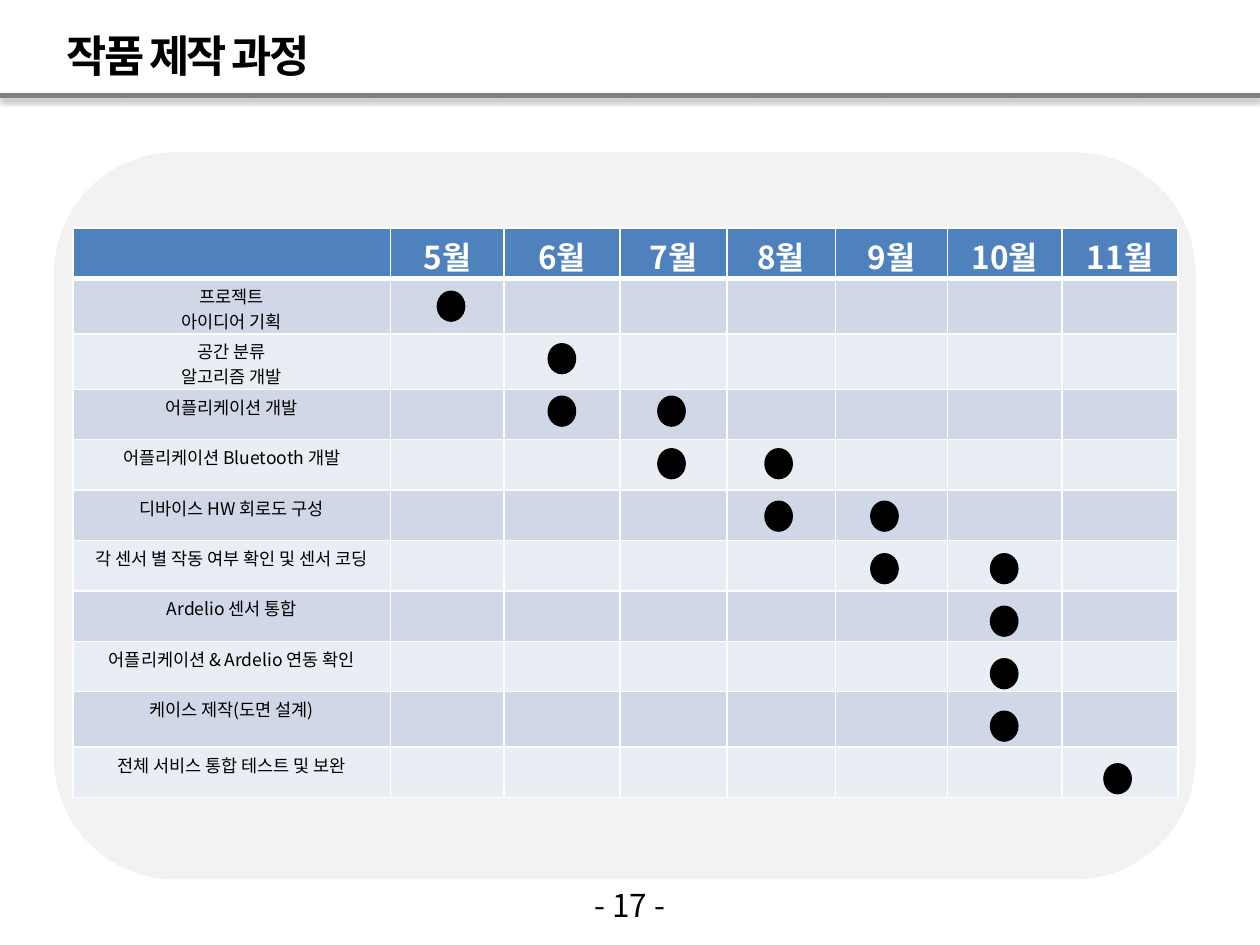
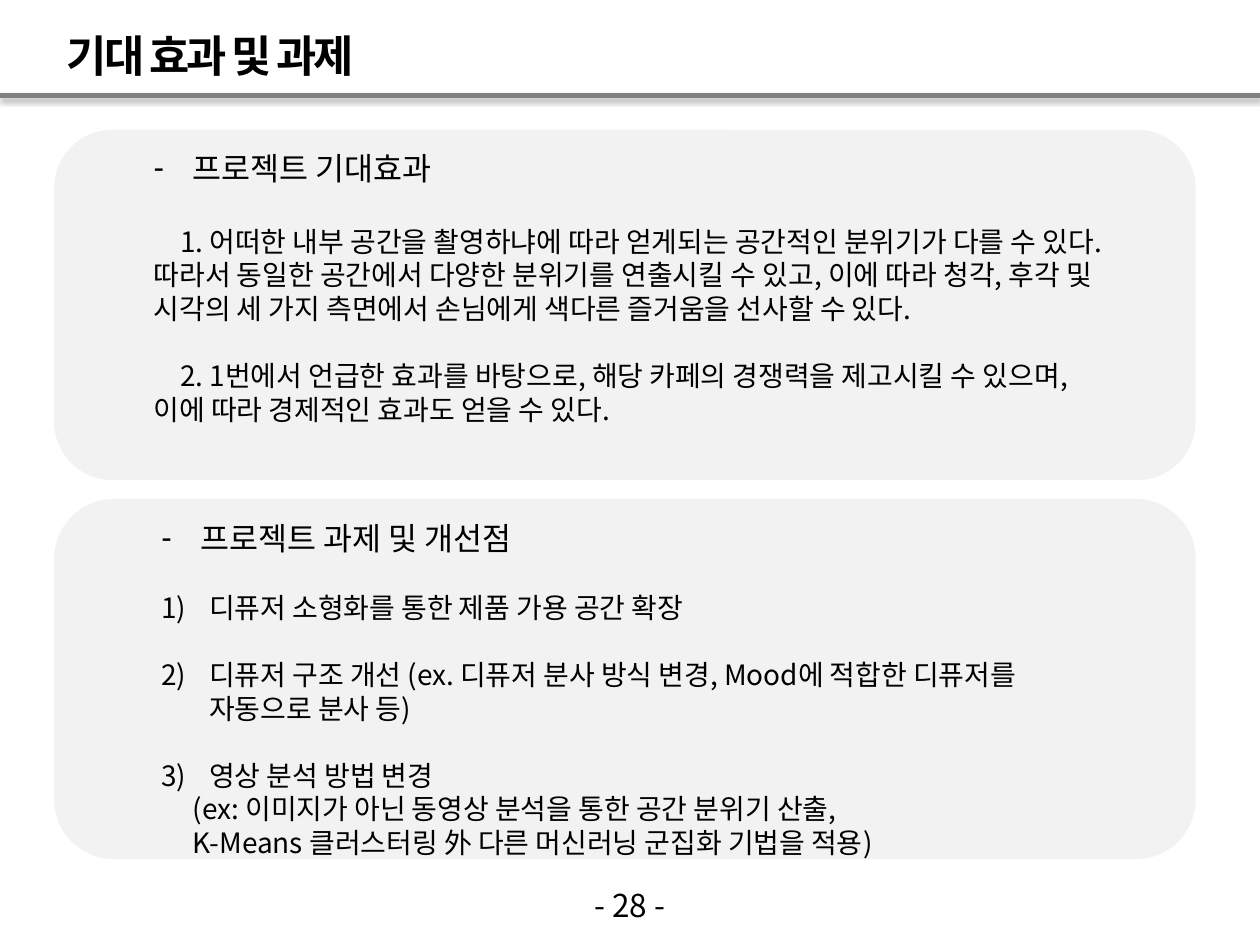
"""Build the two project slides: work schedule, and effects with open tasks."""
from lxml import etree
from pptx import Presentation
from pptx.dml.color import RGBColor
from pptx.enum.shapes import MSO_CONNECTOR, MSO_SHAPE
from pptx.enum.text import MSO_ANCHOR, MSO_AUTO_SIZE, PP_ALIGN
from pptx.oxml import parse_xml
from pptx.oxml.ns import nsdecls, qn
from pptx.util import Inches, Pt

ROUND, OVAL = MSO_SHAPE.ROUNDED_RECTANGLE, MSO_SHAPE.OVAL
LEFT, MID = PP_ALIGN.LEFT, PP_ALIGN.CENTER
FONT = "Noto Sans CJK KR"
BLACK, WHITE, GREY, PANEL = "000000", "FFFFFF", "808080", "F2F2F2"
HEAD, BANDS = "4F81BD", ("D0D8E8", "E9EDF4")
TITLE_ONLY, TWO_BODY = 5, 3
LEAD, CELL_LEAD = 1.2, 1.43

MONTHS = ["5월", "6월", "7월", "8월", "9월", "10월", "11월"]
COLS = [2.52, 0.9, 0.92, 0.85, 0.86, 0.89, 0.91, 0.92]
DOT_X = [3.48, 4.36, 5.23, 6.08, 6.92, 7.87, 8.77]
DOT_TOP, DOT_END = 2.32, 6.07
ROW, TALL = 0.4, 0.44
TALL_ROWS = (1, 2, 9)
TASKS = [
    (["프로젝트", "아이디어 기획"], [5]),
    (["공간 분류", "알고리즘 개발"], [6]),
    (["어플리케이션 개발"], [6, 7]),
    (["어플리케이션 Bluetooth 개발"], [7, 8]),
    (["디바이스 HW 회로도 구성"], [8, 9]),
    (["각 센서 별 작동 여부 확인 및 센서 코딩"], [9, 10]),
    (["Ardelio 센서 통합"], [10]),
    (["어플리케이션 & Ardelio 연동 확인"], [10]),
    (["케이스 제작(도면 설계)"], [10]),
    (["전체 서비스 통합 테스트 및 보완"], [11]),
]

# Each item: text, size, space before, left margin, first-line indent, bullet
EFFECTS = [
    ("프로젝트 기대효과", 18, 0, 0.31, -0.31, "-"),
    ("1. 어떠한 내부 공간을 촬영하냐에 따라 얻게되는 공간적인 분위기가 다를 수 있다. "
     "따라서 동일한 공간에서 다양한 분위기를 연출시킬 수 있고, 이에 따라 청각, "
     "후각 및 시각의 세 가지 측면에서 손님에게 색다른 즐거움을 선사할 수 있다.",
     16, 21.6, 0, 0.21, None),
    ("2. 1번에서 언급한 효과를 바탕으로, 해당 카페의 경쟁력을 제고시킬 수 있으며, "
     "이에 따라 경제적인 효과도 얻을 수 있다.", 16, 19.2, 0, 0.21, None),
]
ISSUES = [
    ("프로젝트 과제 및 개선점", 18, 0, 0.31, -0.31, "-"),
    ("디퓨저 소형화를 통한 제품 가용 공간 확장", 16, 19.2, 0.38, -0.38, "1)"),
    ("디퓨저 구조 개선 (ex. 디퓨저 분사 방식 변경, Mood에 적합한 디퓨저를 "
     "자동으로 분사 등)", 16, 19.2, 0.38, -0.38, "1)"),
    ("영상 분석 방법 변경", 16, 19.2, 0.38, -0.38, "1)"),
    ("(ex: 이미지가 아닌 동영상 분석을 통한 공간 분위기 산출,", 16, 0, 0.25, 0, None),
    ("K-Means 클러스터링 外 다른 머신러닝 군집화 기법을 적용)", 16, 0, 0.25, 0, None),
]


def rgb(code):
    """Turn a hex string into a colour."""
    return RGBColor.from_string(code)


def place(shape, left, top, width, height):
    """Move and size a shape in inches."""
    shape.left, shape.top = Inches(left), Inches(top)
    shape.width, shape.height = Inches(width), Inches(height)


def write(para, text, size, color=BLACK, bold=False, align=LEFT, lead=LEAD):
    """Add one styled run to a paragraph."""
    para.alignment = align
    para.line_spacing = Pt(round(size * lead, 1))
    run = para.add_run()
    run.text = text
    font = run.font
    font.name, font.size, font.bold = FONT, Pt(size), bold
    font.color.rgb = rgb(color)
    props = run._r.get_or_add_rPr()
    etree.SubElement(props, qn("a:ea")).set("typeface", FONT)
    return props


def frame(shape):
    """Give a text frame fixed size, wrapping and top anchor."""
    text = shape.text_frame
    text.word_wrap = True
    text.auto_size = MSO_AUTO_SIZE.NONE
    text.vertical_anchor = MSO_ANCHOR.TOP
    return text


def paras(text, count):
    """Return the given number of paragraphs of a text frame."""
    return [text.paragraphs[0]] + [text.add_paragraph() for _ in range(count - 1)]


def solid(slide, kind, box, color):
    """Add a flat filled shape."""
    shape = slide.shapes.add_shape(kind, *map(Inches, box))
    shape.shadow.inherit = False
    shape.fill.solid()
    shape.fill.fore_color.rgb = rgb(color)
    shape.line.fill.background()
    return shape


def panel(slide, top, height):
    """Add a rounded grey panel behind everything else."""
    shape = solid(slide, ROUND, (0.43, top, 9.06, height), PANEL)
    shape.element.getparent().insert(2, shape.element)


def rule(slide):
    """Draw the shadowed line under the title."""
    line = slide.shapes.add_connector(
        MSO_CONNECTOR.STRAIGHT, 0, Inches(0.76), Inches(10), Inches(0.76))
    line.line.color.rgb = rgb(GREY)
    line.line.width = Pt(3)
    line.element.spPr.append(parse_xml(
        f'<a:effectLst {nsdecls("a")}><a:outerShdw blurRad="{Pt(3.1)}" '
        f'dist="{Pt(1.8)}" dir="5400000" rotWithShape="0">'
        f'<a:srgbClr val="{BLACK}"><a:alpha val="35000"/></a:srgbClr>'
        '</a:outerShdw></a:effectLst>'))


def start(deck, layout, title, page):
    """Add a slide with title, line and page number."""
    slide = deck.slides.add_slide(deck.slide_layouts[layout])
    head = slide.shapes.title
    place(head, 0.43, 0.18, 6, 0.52)
    props = write(frame(head).paragraphs[0], title, 25, bold=True)
    props.set("spc", "-150")
    rule(slide)
    foot = slide.shapes.add_textbox(*map(Inches, (4.41, 6.98, 1.18, 0.4)))
    write(frame(foot).paragraphs[0], f"- {page} -", 18, align=MID)
    return slide


def mark(para, sign):
    """Set the bullet of a paragraph."""
    props = para._p.get_or_add_pPr()
    if sign == "-":
        etree.SubElement(props, qn("a:buChar")).set("char", sign)
    elif sign:
        etree.SubElement(props, qn("a:buAutoNum")).set("type", "arabicParenR")
    else:
        etree.SubElement(props, qn("a:buNone"))


def fill_body(body, box, items):
    """Place a body placeholder and fill it with items."""
    place(body, *box)
    for para, item in zip(paras(frame(body), len(items)), items):
        text, size, gap, left, first, sign = item
        mark(para, sign)
        props = para._p.get_or_add_pPr()
        props.set("marL", str(Inches(left)))
        props.set("indent", str(Inches(first)))
        para.space_before = Pt(gap)
        write(para, text, size)


def edge(cell, top, base):
    """Draw white borders round a cell."""
    props = cell._tc.get_or_add_tcPr()
    for spot, (side, width) in enumerate(zip("LRTB", (1, 1, top, base))):
        props.insert(spot, parse_xml(
            f'<a:ln{side} {nsdecls("a")} w="{Pt(width)}"><a:solidFill>'
            f'<a:srgbClr val="{WHITE}"/></a:solidFill></a:ln{side}>'))


def fill_cell(cell, row, lines, size, color, bold):
    """Format a table cell and write its lines."""
    cell.fill.solid()
    cell.fill.fore_color.rgb = rgb(BANDS[(row - 1) % 2] if row else HEAD)
    edge(cell, 3 if row == 1 else 1, 1 if row else 3)
    cell.margin_top, cell.margin_bottom = Inches(0.04), 0
    for para, line in zip(paras(cell.text_frame, len(lines) or 1), lines):
        write(para, line, size, color, bold, MID, CELL_LEAD)


def plan(slide):
    """Add the schedule table."""
    count = len(TASKS) + 1
    highs = [TALL if row in TALL_ROWS else ROW for row in range(count)]
    box = map(Inches, (0.58, 1.81, sum(COLS), sum(highs)))
    table = slide.shapes.add_table(count, len(COLS), *box).table
    for col, width in zip(table.columns, COLS):
        col.width = Inches(width)
    for row, high in zip(table.rows, highs):
        row.height = Inches(high)
    for col, month in enumerate([None] + MONTHS):
        fill_cell(table.cell(0, col), 0, [month] if month else [], 18, WHITE, True)
    for row, (name, _) in enumerate(TASKS, 1):
        for col in range(len(COLS)):
            lines = [] if col else name
            fill_cell(table.cell(row, col), row, lines, 10, BLACK, False)


def dots(slide):
    """Mark the months of each task."""
    step = (DOT_END - DOT_TOP) / (len(TASKS) - 1)
    for row, (_, months) in enumerate(TASKS):
        for month in months:
            box = (DOT_X[month - 5], DOT_TOP + row * step, 0.2, 0.22)
            dot = solid(slide, OVAL, box, BLACK)
            dot.line.color.rgb = rgb(BLACK)
            dot.line.width = Pt(2)


def main():
    """Build and save the deck."""
    deck = Presentation()
    deck.slide_width, deck.slide_height = Inches(10), Inches(7.5)

    slide = start(deck, TITLE_ONLY, "작품 제작 과정", 17)
    panel(slide, 1.21, 5.77)
    plan(slide)
    dots(slide)

    slide = start(deck, TWO_BODY, "기대 효과 및 과제", 28)
    panel(slide, 1.03, 2.78)
    panel(slide, 3.96, 2.86)
    fill_body(slide.placeholders[1], (1.12, 1.13, 7.76, 2.6), EFFECTS)
    fill_body(slide.placeholders[2], (1.18, 4.07, 7.76, 2.83), ISSUES)

    deck.save("out.pptx")


if __name__ == "__main__":
    main()
